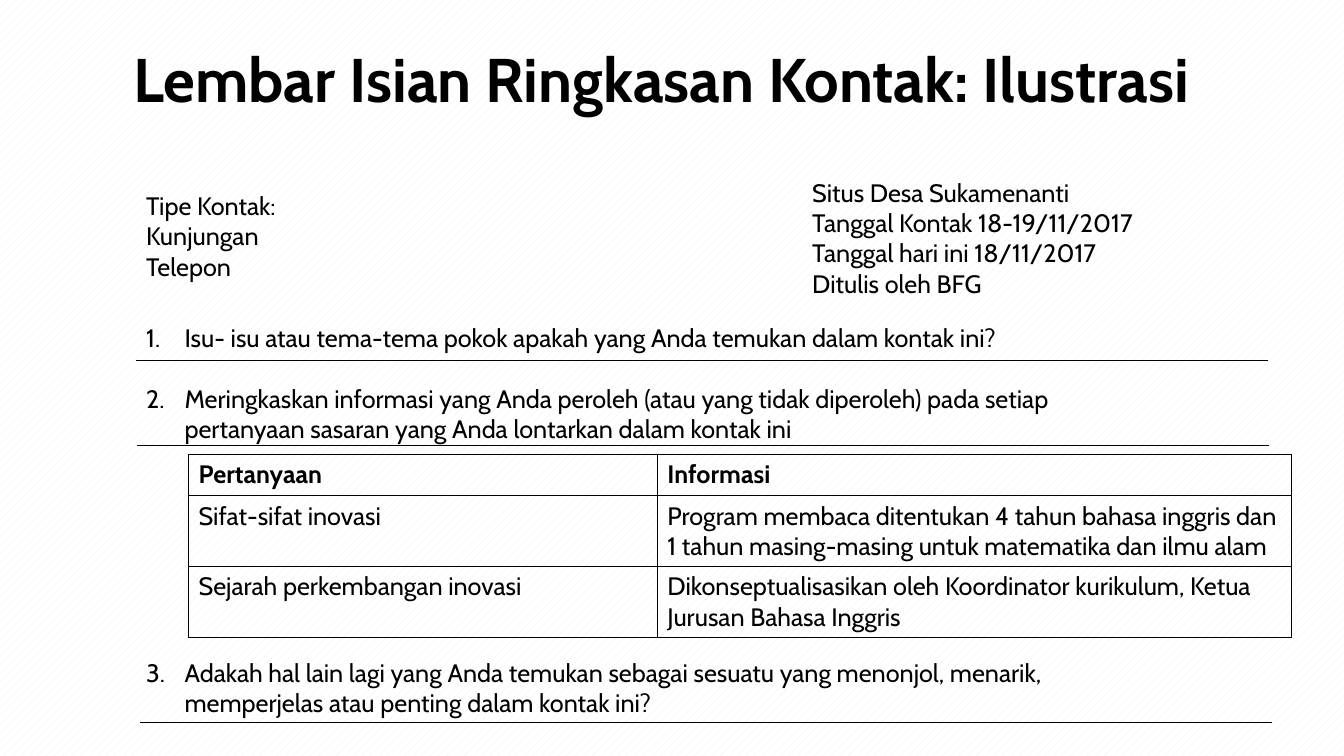
from lxml.etree import SubElement
from pptx import Presentation
from pptx.dml.color import RGBColor
from pptx.enum.dml import MSO_PATTERN
from pptx.enum.shapes import MSO_CONNECTOR
from pptx.enum.text import MSO_ANCHOR, MSO_AUTO_SIZE, PP_ALIGN
from pptx.oxml.ns import qn
from pptx.util import Inches, Pt

BLACK = RGBColor(0x00, 0x00, 0x00)
WHITE = RGBColor(0xFF, 0xFF, 0xFF)
PALE_GREY = RGBColor(0xED, 0xED, 0xED)
FONT = "Cabin"
TEXT_SIZE = 18
LINE_PITCH = 21.75  # points from one text line to the next
WIDTH, HEIGHT = Inches(13.33), Inches(7.5)

TITLE = "Lembar Isian Ringkasan Kontak: Ilustrasi"
CONTACT_TYPE = ["Tipe Kontak:", "Kunjungan", "Telepon"]
CONTACT_DETAILS = [
    "Situs Desa Sukamenanti",
    "Tanggal Kontak 18-19/11/2017",
    "Tanggal hari ini 18/11/2017",
    "Ditulis oleh BFG",
]
# Each question with the number of free lines above it
QUESTIONS = [
    ("Isu- isu atau tema-tema pokok apakah yang Anda temukan dalam kontak ini?", 0),
    ("Meringkaskan informasi yang Anda peroleh (atau yang tidak diperoleh) pada setiap "
     "pertanyaan sasaran yang Anda lontarkan dalam kontak ini", 1),
    ("Adakah hal lain lagi yang Anda temukan sebagai sesuatu yang menonjol, menarik, "
     "memperjelas atau penting dalam kontak ini?", 7),
]
FINDINGS = [
    ("Pertanyaan", "Informasi"),
    ("Sifat-sifat inovasi",
     "Program membaca ditentukan 4 tahun bahasa inggris dan 1 tahun masing-masing "
     "untuk matematika dan ilmu alam"),
    ("Sejarah perkembangan inovasi",
     "Dikonseptualisasikan oleh Koordinator kurikulum, Ketua Jurusan Bahasa Inggris"),
]
COLUMN_SHARES = [34.88, 47.19]
ROW_SHARES = [5.45, 9.37, 9.37]
# Left end and height of the rule under each question
ANSWER_RULES = [(10.13, 47.73), (10.2, 58.93), (10.43, 95.6)]
RULE_LENGTH = 84.2


def across(percent):
    return int(WIDTH * percent / 100)


def down(percent):
    return int(HEIGHT * percent / 100)


def area(left, top, width, height):
    """Turn percentages of the slide into a position and size."""
    return across(left), down(top), across(width), down(height)


def move(placeholder, box):
    placeholder.left, placeholder.top, placeholder.width, placeholder.height = box


def style(paragraph, size=TEXT_SIZE, bold=False):
    paragraph.font.name = FONT
    paragraph.font.size = Pt(size)
    paragraph.font.bold = bold
    paragraph.font.color.rgb = BLACK


def fill_title(title):
    move(title, area(9.15, 1.2, 86.3, 19.33))
    frame = title.text_frame
    frame.text = TITLE
    frame.auto_size = MSO_AUTO_SIZE.NONE
    frame.vertical_anchor = MSO_ANCHOR.MIDDLE
    heading = frame.paragraphs[0]
    heading.alignment = PP_ALIGN.LEFT
    heading.line_spacing = 0.9
    style(heading, 44, True)


def fill_questions(body):
    move(body, area(10.13, 42, 77.94, 54.67))
    frame = body.text_frame
    frame.text = "\n".join(question for question, _ in QUESTIONS)
    frame.auto_size = MSO_AUTO_SIZE.NONE
    frame.vertical_anchor = MSO_ANCHOR.TOP
    for paragraph, (_, free_lines) in zip(frame.paragraphs, QUESTIONS):
        paragraph.space_before = Pt(free_lines * LINE_PITCH)
        properties = paragraph._p.get_or_add_pPr()
        properties.set("marL", str(Inches(0.38)))
        properties.set("indent", str(-Inches(0.38)))
        SubElement(properties, qn("a:buFont"), typeface="+mj-lt")
        SubElement(properties, qn("a:buAutoNum"), type="arabicPeriod")
        style(paragraph)


def add_lines_of_text(slide, lines, box):
    frame = slide.shapes.add_textbox(*box).text_frame
    frame.word_wrap = True
    frame.text = "\n".join(lines)
    for paragraph in frame.paragraphs:
        style(paragraph)


def add_cell_borders(cell):
    properties = cell._tc.get_or_add_tcPr()
    for side in ("a:lnL", "a:lnR", "a:lnT", "a:lnB"):
        border = SubElement(properties, qn(side), w=str(Pt(1)))
        solid = SubElement(border, qn("a:solidFill"))
        SubElement(solid, qn("a:srgbClr"), val=str(BLACK))


def add_findings_table(slide):
    box = area(14.03, 60.13, sum(COLUMN_SHARES), sum(ROW_SHARES))
    table = slide.shapes.add_table(len(FINDINGS), len(COLUMN_SHARES), *box).table
    table.first_row = table.horz_banding = False
    for column, share in zip(table.columns, COLUMN_SHARES):
        column.width = across(share)
    for row, share in zip(table.rows, ROW_SHARES):
        row.height = down(share)
    for row_number, finding in enumerate(FINDINGS):
        for column_number, words in enumerate(finding):
            cell = table.cell(row_number, column_number)
            cell.text = words
            style(cell.text_frame.paragraphs[0], bold=row_number == 0)
            add_cell_borders(cell)
            cell.fill.background()


def add_answer_rule(slide, left, top):
    rule = slide.shapes.add_connector(
        MSO_CONNECTOR.STRAIGHT,
        across(left), down(top), across(left + RULE_LENGTH), down(top))
    rule.line.color.rgb = BLACK
    rule.line.width = Pt(0.5)
    SubElement(rule._element.spPr, qn("a:effectLst"))


def main():
    presentation = Presentation()
    presentation.slide_width, presentation.slide_height = WIDTH, HEIGHT
    slide = presentation.slides.add_slide(presentation.slide_layouts[1])

    # Hatched background
    hatching = slide.background.fill
    hatching.patterned()
    hatching.pattern = MSO_PATTERN.DASHED_UPWARD_DIAGONAL
    hatching.fore_color.rgb = PALE_GREY
    hatching.back_color.rgb = WHITE

    # Heading and contact data
    fill_title(slide.shapes.title)
    add_lines_of_text(slide, CONTACT_TYPE, area(10.13, 24.53, 45, 13.6))
    add_lines_of_text(slide, CONTACT_DETAILS, area(59.7, 22.8, 31.13, 21.6))

    # Questions, findings and answer rules
    fill_questions(slide.placeholders[1])
    add_findings_table(slide)
    for left, top in ANSWER_RULES:
        add_answer_rule(slide, left, top)

    presentation.save("out.pptx")


if __name__ == "__main__":
    main()
